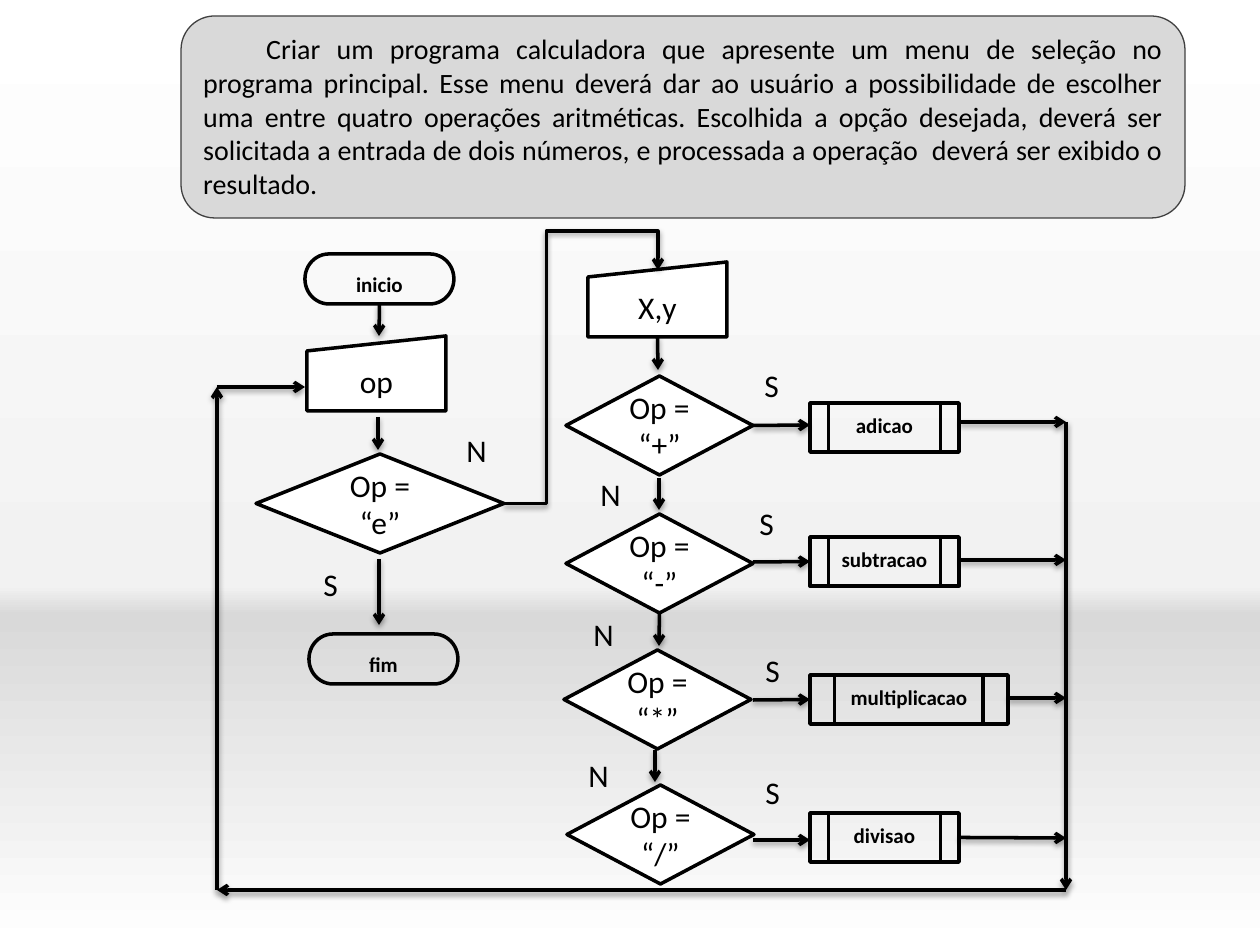
from lxml import etree
from pptx import Presentation
from pptx import util as u
from pptx.dml.color import RGBColor
from pptx.enum import shapes, text
from pptx.oxml import ns

PX = u.Inches(1) / 126
BLACK = "000000"
KIND = shapes.MSO_SHAPE


def px(*values):
    return [round(value * PX) for value in values]


def color(hex_string):
    return RGBColor.from_string(hex_string)


def child(parent, tag, **attributes):
    element = etree.SubElement(parent, ns.qn(tag))
    for name, value in attributes.items():
        element.set(name, str(value))
    return element


def write(shape, words, size=18, bold=False, align="CENTER", anchor="MIDDLE",
          spacing=None, wrap=True, grow=False):
    frame = shape.text_frame
    frame.word_wrap = wrap
    frame.vertical_anchor = text.MSO_ANCHOR[anchor]
    if grow:
        frame.auto_size = text.MSO_AUTO_SIZE.SHAPE_TO_FIT_TEXT
    paragraph = frame.paragraphs[0]
    paragraph.alignment = text.PP_ALIGN[align]
    if spacing:
        paragraph.line_spacing = spacing
    run = paragraph.add_run()
    run.text = words
    run.font.name = "Calibri"
    run.font.size = u.Pt(size)
    run.font.bold = bold
    run.font.color.rgb = color(BLACK)


presentation = Presentation()
presentation.slide_width, presentation.slide_height = px(1260, 945)
slide = presentation.slides.add_slide(presentation.slide_layouts[6])

# Background gradient, top to bottom
slide.background.fill.gradient()
gradient = slide.element.find(".//" + ns.qn("a:gradFill"))
stops = gradient.find(ns.qn("a:gsLst"))
stops.clear()
for position, shade in [(0, "FFFFFF"), (62, "F2F2F2"), (65, "D9D9D9"), (100, "FFFFFF")]:
    child(child(stops, "a:gs", pos=position * 1000), "a:srgbClr", val=shade)
gradient.find(ns.qn("a:lin")).set("ang", "5400000")

# Task statement
statement = slide.shapes.add_shape(KIND.ROUNDED_RECTANGLE, *px(181, 16, 1004, 202))
statement.shadow.inherit = False
statement.fill.solid()
statement.fill.fore_color.rgb = color("D9D9D9")
statement.line.color.rgb = color("404040")
statement.line.width = u.Pt(0.75)
write(statement, "\tCriar um programa calculadora que apresente um menu de seleção no programa "
      "principal. Esse menu deverá dar ao usuário a possibilidade de escolher uma entre quatro "
      "operações aritméticas. Escolhida a opção desejada, deverá ser solicitada a entrada de "
      "dois números, e processada a operação  deverá ser exibido o resultado.",
      size=16, align="JUSTIFY", anchor="TOP", grow=True)

# Flowchart nodes: white ones hold large text, unfilled ones small bold text
TERMINATOR, PROCESS = KIND.FLOWCHART_TERMINATOR, KIND.FLOWCHART_PREDEFINED_PROCESS
INPUT, DECISION = KIND.FLOWCHART_MANUAL_INPUT, KIND.FLOWCHART_DECISION
nodes = {}
for kind, words, left, top, width, height in [
    (TERMINATOR, "inicio", 305, 254, 149, 50),
    (INPUT, "op", 307, 336, 139, 75),
    (DECISION, "Op = “e”", 256, 454, 248, 99),
    (TERMINATOR, "fim", 309, 634, 149, 50),
    (INPUT, "X,y", 588, 262, 139, 75),
    (DECISION, "Op = “+”", 566, 376, 187, 99),
    (DECISION, "Op = “-”", 566, 514, 187, 99),
    (DECISION, "Op = “*”", 564, 650, 187, 99),
    (DECISION, "Op = “/”", 567, 785, 187, 99),
    (PROCESS, "adicao", 810, 403, 149, 49),
    (PROCESS, "subtracao", 810, 537, 149, 49),
    (PROCESS, "multiplicacao", 810, 675, 198, 49),
    (PROCESS, "divisao", 810, 813, 149, 49),
]:
    node = slide.shapes.add_shape(kind, *px(left, top, width, height))
    node.shadow.inherit = False
    node.line.color.rgb = color(BLACK)
    node.line.width = u.Pt(2)
    if kind in (INPUT, DECISION):
        node.fill.solid()
        node.fill.fore_color.rgb = color("FFFFFF")
        write(node, words)
    else:
        node.fill.background()
        write(node, words, size=12, bold=True, anchor="TOP", spacing=1.15)
    nodes[words] = node

# Yes (S) and no (N) labels
for words, places in {
    "S": [(311, 559), (752, 360), (747, 498), (753, 645), (753, 767)],
    "N": [(454, 425), (588, 469), (581, 609), (576, 750)],
}.items():
    for left, top in places:
        label = slide.shapes.add_textbox(*px(left, top, 40 if words == "S" else 45, 50))
        write(label, words, align="LEFT", anchor="TOP", wrap=False, grow=True)

# Arrows: ends, then the joined start and finish as (node, side)
arrows = [
    (379, 304, 379, 336, ("inicio", 2), None),
    (378, 417, 378, 450, None, None),
    (379, 559, 379, 625, None, None),
    (504, 504, 658, 270, ("Op = “e”", 3), None),
    (658, 337, 658, 370, ("X,y", 2), None),
    (659, 478, 659, 510, None, None),
    (659, 613, 659, 646, ("Op = “-”", 2), None),
    (655, 750, 655, 782, None, None),
    (753, 425, 810, 425, ("Op = “+”", 3), None),
    (753, 562, 810, 562, None, ("subtracao", 1)),
    (753, 700, 810, 700, None, ("multiplicacao", 1)),
    (753, 840, 810, 840, None, None),
    (960, 422, 1066, 422, None, None),
    (960, 560, 1066, 560, None, None),
    (1008, 698, 1066, 698, None, None),
    (960, 838, 1066, 838, ("divisao", 3), None),
    (1066, 422, 1066, 890, None, None),
    (1066, 890, 217, 890, None, None),
    (217, 890, 217, 387, None, None),
    (217, 387, 305, 387, None, None),
]
for x1, y1, x2, y2, start, finish in arrows:
    bent = x1 != x2 and y1 != y2
    kind = shapes.MSO_CONNECTOR.ELBOW if bent else shapes.MSO_CONNECTOR.STRAIGHT
    connector = slide.shapes.add_connector(kind, *px(x1, y1, x2, y2))
    if start:
        connector.begin_connect(nodes[start[0]], start[1])
    if finish:
        connector.end_connect(nodes[finish[0]], finish[1])
    connector.line.color.rgb = color(BLACK)
    connector.line.width = u.Pt(2)
    properties = connector.element.spPr
    child(properties.find(ns.qn("a:ln")), "a:tailEnd", type="arrow")
    shadow = child(child(properties, "a:effectLst"), "a:outerShdw",
                   blurRad=40000, dist=20000, dir=5400000, rotWithShape=0)
    child(child(shadow, "a:srgbClr", val=BLACK), "a:alpha", val=38000)
    if bent:
        geometry = properties.find(ns.qn("a:prstGeom"))
        geometry.set("prst", "bentConnector4")
        guides = geometry.find(ns.qn("a:avLst"))
        for name, value in [("adj1", 27500), ("adj2", 116600)]:
            child(guides, "a:gd", name=name, fmla=f"val {value}")

presentation.save("out.pptx")
